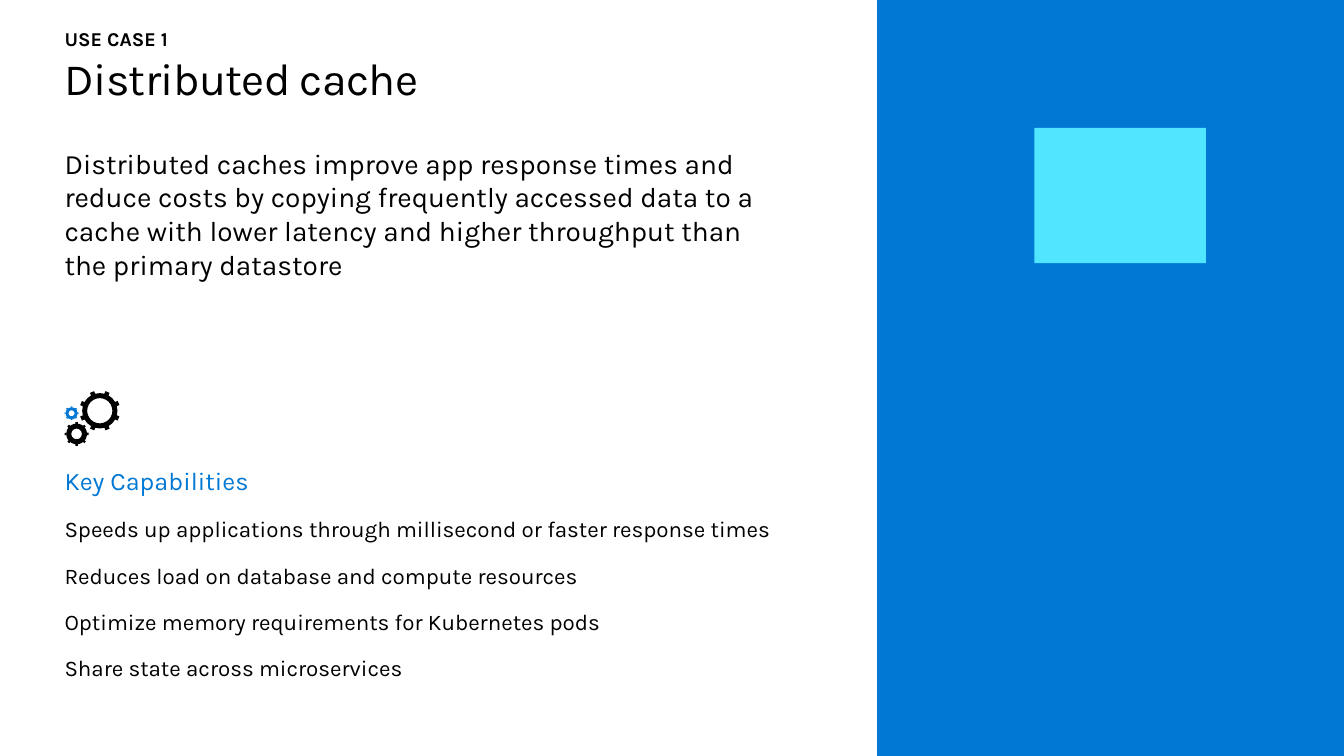
from dataclasses import dataclass
from math import cos, sin, radians
from pptx import Presentation
from pptx.dml.color import RGBColor
from pptx.enum.shapes import MSO_SHAPE as Shape
from pptx.enum.text import MSO_ANCHOR as Anchor, PP_ALIGN as Align
from pptx.util import Inches, Pt


@dataclass(frozen=True)
class Theme:
    font: str = "Karla"
    black: str = "000000"
    blue: str = "0078D4"
    cyan: str = "50E6FF"
    label: int = 14
    title: int = 32
    lead: int = 20
    heading: int = 18
    item: int = 16


@dataclass(frozen=True)
class Grid:
    left: float
    top: float
    pitch: float = 0.01

    def box(self, col, row, w, h):
        return (Inches(self.left + col * self.pitch),
                Inches(self.top + row * self.pitch),
                Inches(w * self.pitch), Inches(h * self.pitch))


T = Theme()
WIDTH, HEIGHT, PANEL = 13.33, 7.5, 8.7
CAPABILITIES = (
    "Speeds up applications through millisecond or faster response times",
    "Reduces load on database and compute resources",
    "Optimize memory requirements for Kubernetes pods",
    "Share state across microservices",
)


def add_shape(shapes, kind, box, color):
    sp = shapes.add_shape(kind, *box)
    sp.shadow.inherit = False
    sp.fill.solid()
    sp.fill.fore_color.rgb = RGBColor.from_string(color)
    sp.line.fill.background()
    return sp


def write(tf, text, size, color=T.black, bold=False, tracking=None,
          before=None, spacing=None):
    p = tf.paragraphs[0]
    if p.runs:
        p = tf.add_paragraph()
        if before is not None:
            p.space_before = Pt(before)
    p.alignment = Align.LEFT
    if spacing:
        p.line_spacing = spacing
    r = p.add_run()
    r.text = text
    r.font.name = T.font
    r.font.size = Pt(size)
    r.font.bold = bold
    r.font.color.rgb = RGBColor.from_string(color)
    if tracking:
        r.font._element.set("spc", str(int(tracking * 100)))


def add_frame(shapes, box):
    tf = shapes.add_textbox(*box).text_frame
    tf.word_wrap = True
    tf.vertical_anchor = Anchor.TOP
    tf.margin_left = tf.margin_top = tf.margin_right = tf.margin_bottom = 0
    return tf


def gear(shapes, grid, center, radius, rim, tooth, start, color):
    cx, cy = center
    box = grid.box(cx - radius, cy - radius, 2 * radius, 2 * radius)
    ring = add_shape(shapes, Shape.DONUT, box, color)
    ring.adjustments[0] = rim / (2 * radius)
    w, h = tooth
    reach = radius + h / 4
    for step in range(8):
        angle = start + 45 * step
        x = cx + reach * sin(radians(angle))
        y = cy - reach * cos(radians(angle))
        sp = add_shape(shapes, Shape.RECTANGLE,
                       grid.box(x - w / 2, y - h / 2, w, h), color)
        sp.rotation = angle


def gears_icon(s, grid):
    shapes = s.shapes.add_group_shape().shapes
    gear(shapes, grid, (35, 19.5), 17.5, 5, (4.5, 3.5), 22.5, T.black)
    gear(shapes, grid, (12, 42.5), 10.3, 5, (2.4, 2), 0, T.black)
    gear(shapes, grid, (7, 22), 6, 3, (1.6, 1.2), 0, T.blue)


def heading(s, grid):
    write(add_frame(s.shapes, grid.box(0, 24, 1205, 54)), "Distributed cache",
          T.title, tracking=-0.5)
    write(add_frame(s.shapes, grid.box(0, 119, 687, 135)),
          "Distributed caches improve app response times and reduce costs by "
          "copying frequently accessed data to a cache with lower latency and "
          "higher throughput than the primary datastore", T.lead)
    write(add_frame(s.shapes, grid.box(0, 1, 247, 24)), "USE CASE 1",
          T.label, bold=True)


def capabilities(s, grid):
    gears_icon(s, grid)
    tf = add_frame(s.shapes, grid.box(0, 71, 746, 217))
    write(tf, "Key Capabilities", T.heading, T.blue, spacing=1.1)
    for item in CAPABILITIES:
        write(tf, item, T.item, before=12, spacing=1.1)


def side_panel(s, grid):
    add_shape(s.shapes, Shape.RECTANGLE,
              grid.box(0, 0, 100 * (WIDTH - PANEL), 100 * HEIGHT), T.blue)
    add_shape(s.shapes, Shape.RECTANGLE, grid.box(156, 127, 170, 134), T.cyan)


def main():
    prs = Presentation()
    prs.slide_width, prs.slide_height = Inches(WIDTH), Inches(HEIGHT)
    s = prs.slides.add_slide(prs.slide_layouts[6])
    side_panel(s, Grid(PANEL, 0))
    heading(s, Grid(0.64, 0.26))
    capabilities(s, Grid(0.64, 3.88))
    prs.save("out.pptx")


if __name__ == "__main__":
    main()
